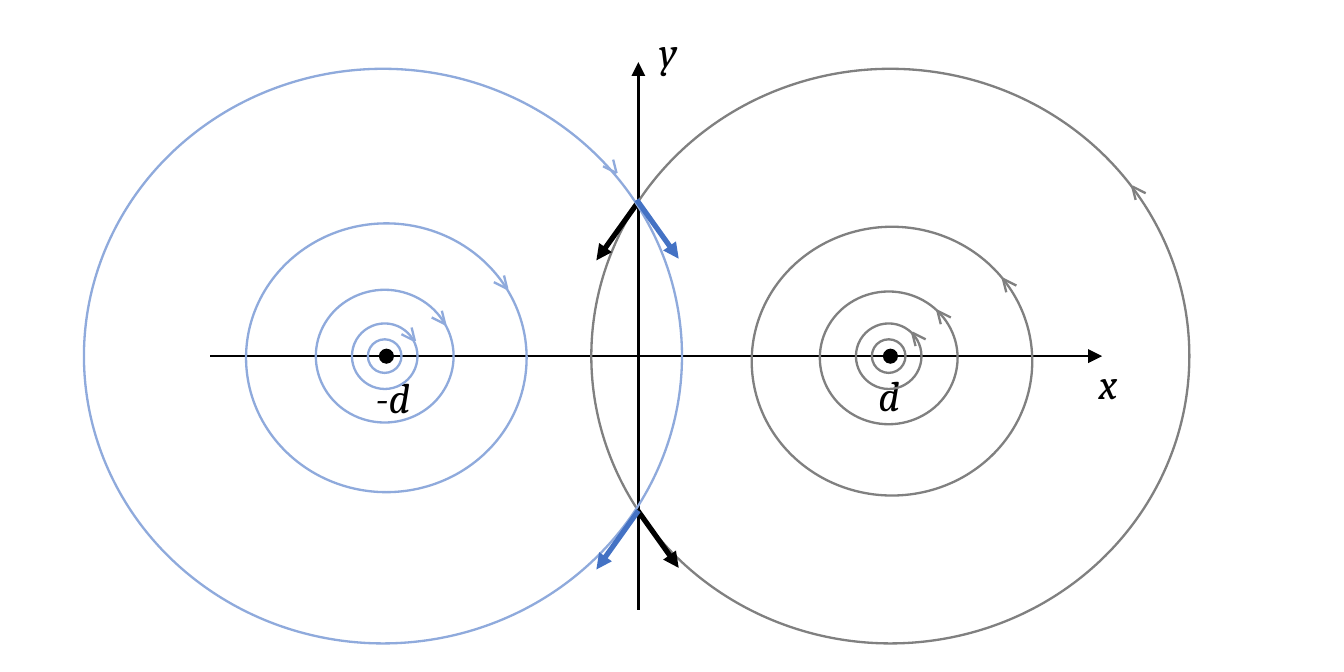
"""Draw the circular field lines and force arrows of two opposite sources at -d and d."""
from lxml.etree import SubElement
from pptx import Presentation
from pptx.dml.color import RGBColor
from pptx.enum.shapes import MSO_CONNECTOR, MSO_SHAPE
from pptx.enum.text import MSO_AUTO_SIZE, PP_ALIGN
from pptx.oxml.ns import qn
from pptx.util import Inches, Pt

theme = {
    "ink": RGBColor.from_string("000000"),
    "gray": RGBColor.from_string("808080"),
    "pale": RGBColor.from_string("8FAADC"),
    "blue": RGBColor.from_string("4472C4"),
    "font": "Cambria",
    "text": Pt(18),
    "thin": Pt(1),
    "bold": Pt(2.25),
}

deck = Presentation()
deck.slide_width, deck.slide_height = Inches(8), Inches(4)
slide = deck.slides.add_slide(deck.slide_layouts[6])
col, row = deck.slide_width / 8, deck.slide_height / 4


def draw_line(home, start, end, color, width, head=False):
    (x1, y1), (x2, y2) = start, end
    line = home.add_connector(MSO_CONNECTOR.STRAIGHT, int(x1 * col), int(y1 * row),
                              int(x2 * col), int(y2 * row))
    line.line.color.rgb = theme[color]
    line.line.width = theme[width]
    if head:
        SubElement(line.line._get_or_add_ln(), qn("a:tailEnd"), type="triangle")
    SubElement(line._element.spPr, qn("a:effectLst"))


def draw_oval(center, size):
    (x, y), (w, h) = center, size
    oval = slide.shapes.add_shape(MSO_SHAPE.OVAL, int((x - w / 2) * col), int((y - h / 2) * row),
                                  int(w * col), int(h * row))
    oval.shadow.inherit = False
    return oval


mid = 2.12
draw_line(slide.shapes, (3.8, 3.63), (3.8, 0.37), "ink", "thin", True)
draw_line(slide.shapes, (1.25, mid), (6.56, mid), "ink", "thin", True)

labels = [("y", 3.8, 0.1, 0.33), ("x", 6.43, 2.08, 0.32),
          ("d", 5.13, 2.15, 0.32), ("-d", 2.13, 2.16, 0.41)]
for text, x, y, w in labels:
    box = slide.shapes.add_textbox(int(x * col), int(y * row), int(w * col), int(0.4 * row))
    frame = box.text_frame
    frame.word_wrap = False
    frame.auto_size = MSO_AUTO_SIZE.SHAPE_TO_FIT_TEXT
    frame.text = text
    para = frame.paragraphs[0]
    para.alignment = PP_ALIGN.RIGHT
    font = para.runs[0].font
    font.name, font.size, font.italic = theme["font"], theme["text"], True
    font.color.rgb = theme["ink"]

sizes = [(0.2, 0.2), (0.39, 0.39), (0.82, 0.79), (1.67, 1.6), (3.56, 3.42)]
barbs = [(0.08, 0.04), (0.02, 0.08)]
sides = [
    {"dot": (5.3, mid), "color": "gray", "force": "ink", "turn": 1,
     "rings": [(5.29, 2.12), (5.29, 2.12), (5.29, 2.13), (5.31, 2.15), (5.3, 2.12)],
     "tips": [(5.58, 1.85), (5.97, 1.66), (5.43, 1.98), (6.74, 1.11)],
     "starts": [(3.8, 1.2, -0.25), (3.79, 3.03, 0.25)]},
    {"dot": (2.3, mid), "color": "pale", "force": "blue", "turn": -1,
     "rings": [(2.29, 2.12), (2.29, 2.12), (2.29, 2.12), (2.3, 2.13), (2.28, 2.12)],
     "tips": [(2.65, 1.93), (3.02, 1.72), (2.47, 2.03), (3.67, 1.03)],
     "starts": [(3.79, 1.19, 0.25), (3.8, 3.04, -0.25)]},
]
for side in sides:
    dot = draw_oval(side["dot"], (0.09, 0.09))
    dot.fill.solid()
    dot.fill.fore_color.rgb = theme["ink"]
    dot.line.fill.background()
    for center, size in zip(side["rings"], sizes):
        ring = draw_oval(center, size)
        ring.fill.background()
        ring.line.color.rgb = theme[side["color"]]
        ring.line.width = theme["thin"]
    for x, y in side["tips"]:
        mark = slide.shapes.add_group_shape()
        for dx, dy in barbs:
            end = (x + side["turn"] * dx, y + side["turn"] * dy)
            draw_line(mark.shapes, (x, y), end, side["color"], "thin")
    for x, y, dx in side["starts"]:
        draw_line(slide.shapes, (x, y), (x + dx, y + 0.35), side["force"], "bold", True)

deck.save("out.pptx")
